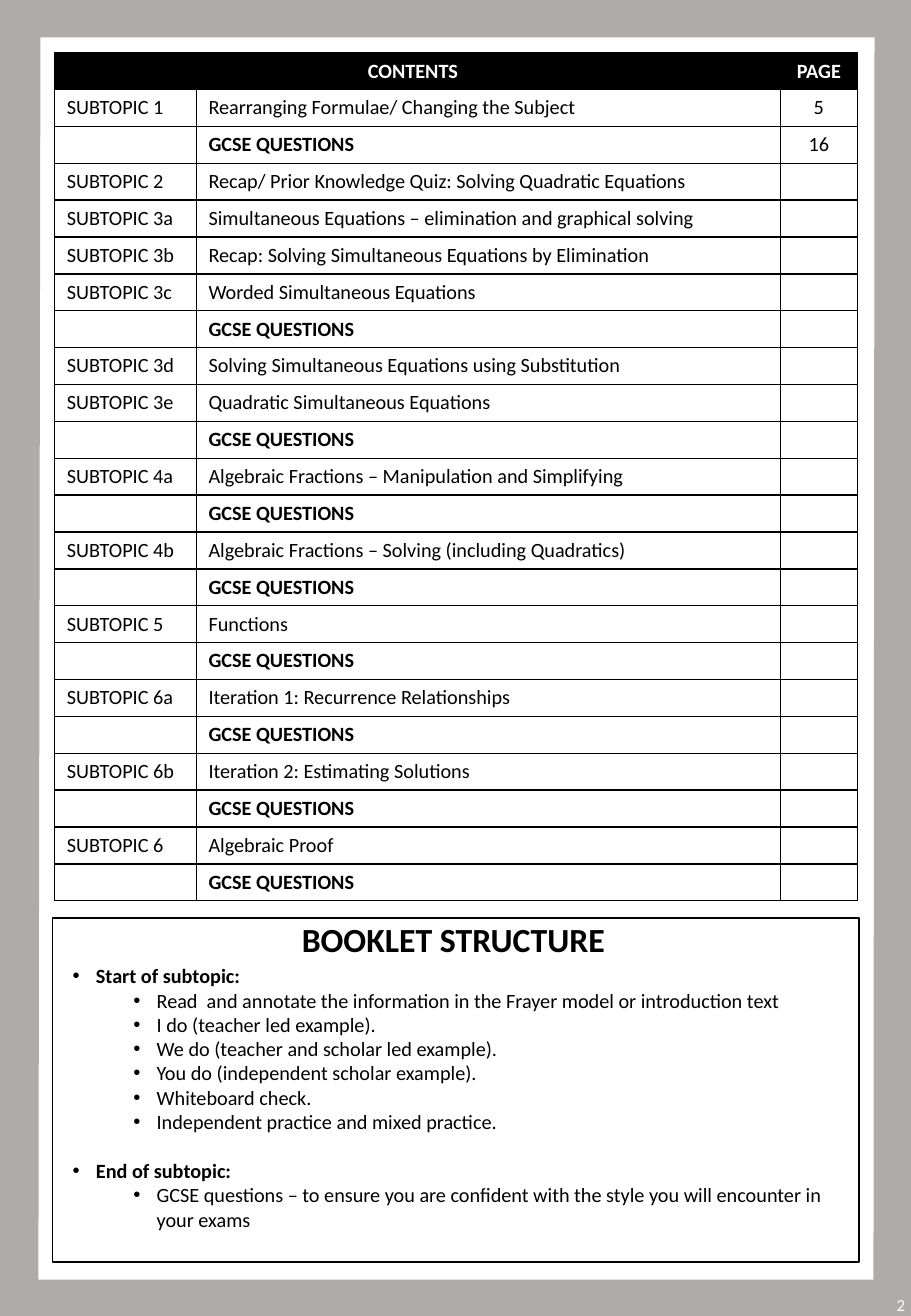
from lxml import etree
from pptx import Presentation
from pptx.dml.color import RGBColor
from pptx.enum.shapes import MSO_SHAPE
from pptx.enum.text import MSO_ANCHOR, MSO_AUTO_SIZE, PP_ALIGN
from pptx.oxml.ns import qn
from pptx.util import Pt

PX = 7620
BLACK = RGBColor(0x00, 0x00, 0x00)
WHITE = RGBColor(0xFF, 0xFF, 0xFF)
FRAME_GREY = RGBColor(0xAF, 0xAB, 0xAB)
CENTER, LEFT = PP_ALIGN.CENTER, PP_ALIGN.LEFT
TOP, MIDDLE = MSO_ANCHOR.TOP, MSO_ANCHOR.MIDDLE
NO_AUTOFIT = MSO_AUTO_SIZE.NONE
RECTANGLE = MSO_SHAPE.RECTANGLE
TITLE_ONLY = 5

PAGE_W, PAGE_H = 900, 1300
COLUMN_WIDTHS = (140, 577, 76)
ROW_HEIGHT = 36
GCSE = ("", "GCSE QUESTIONS", "")
CONTENTS = [
    ("SUBTOPIC 1", "Rearranging Formulae/ Changing the Subject", "5"),
    ("", "GCSE QUESTIONS", "16"),
    ("SUBTOPIC 2", "Recap/ Prior Knowledge Quiz: Solving Quadratic Equations", ""),
    ("SUBTOPIC 3a", "Simultaneous Equations – elimination and graphical solving", ""),
    ("SUBTOPIC 3b", "Recap: Solving Simultaneous Equations by Elimination", ""),
    ("SUBTOPIC 3c", "Worded Simultaneous Equations", ""),
    GCSE,
    ("SUBTOPIC 3d", "Solving Simultaneous Equations using Substitution", ""),
    ("SUBTOPIC 3e", "Quadratic Simultaneous Equations", ""),
    GCSE,
    ("SUBTOPIC 4a", "Algebraic Fractions – Manipulation and Simplifying", ""),
    GCSE,
    ("SUBTOPIC 4b", "Algebraic Fractions – Solving (including Quadratics)", ""),
    GCSE,
    ("SUBTOPIC 5", "Functions", ""),
    GCSE,
    ("SUBTOPIC 6a", "Iteration 1: Recurrence Relationships", ""),
    GCSE,
    ("SUBTOPIC 6b", "Iteration 2: Estimating Solutions", ""),
    GCSE,
    ("SUBTOPIC 6", "Algebraic Proof", ""),
    GCSE,
]
STRUCTURE = [
    ("Start of subtopic:", [
        "Read  and annotate the information in the Frayer model or introduction text",
        "I do (teacher led example).",
        "We do (teacher and scholar led example).",
        "You do (independent scholar example).",
        "Whiteboard check.",
        "Independent practice and mixed practice.",
    ]),
    ("End of subtopic:", [
        "GCSE questions – to ensure you are confident with the style"
        " you will encounter in your exams",
    ]),
]


def px(*lengths):
    return [length * PX for length in lengths]


def add_run(paragraph, text, size=12, bold=False, color=BLACK):
    run = paragraph.add_run()
    run.text = text
    run.font.name = "Calibri"
    run.font.size = Pt(size)
    run.font.bold = bold
    run.font.color.rgb = color


def add_cell_borders(cell):
    properties = cell._tc.get_or_add_tcPr()
    for position, side in enumerate(("lnL", "lnR", "lnT", "lnB")):
        border = etree.Element(qn(f"a:{side}"), w=str(Pt(1)))
        fill = etree.SubElement(border, qn("a:solidFill"))
        etree.SubElement(fill, qn("a:srgbClr"), val=str(BLACK))
        properties.insert(position, border)


def fill_cell(cell, text, align, bold, header):
    cell.vertical_anchor = MIDDLE
    cell.fill.solid()
    cell.fill.fore_color.rgb = BLACK if header else WHITE
    add_cell_borders(cell)
    paragraph = cell.text_frame.paragraphs[0]
    paragraph.alignment = align
    if text:
        add_run(paragraph, text, bold=bold, color=WHITE if header else BLACK)
    else:
        etree.SubElement(paragraph._p, qn("a:endParaRPr"), sz="1200")


def add_contents(slide, left, top):
    rows = [("CONTENTS", "", "PAGE")] + CONTENTS
    width, height = sum(COLUMN_WIDTHS), ROW_HEIGHT * len(rows)
    table = slide.shapes.add_table(
        len(rows), len(COLUMN_WIDTHS), *px(left, top, width, height)).table
    for column, column_width in zip(table.columns, COLUMN_WIDTHS):
        column.width = column_width * PX
    for r, texts in enumerate(rows):
        table.rows[r].height = ROW_HEIGHT * PX
        header = r == 0
        for c, text in enumerate(texts):
            align = CENTER if header or c == 2 else LEFT
            bold = header or text == "GCSE QUESTIONS"
            fill_cell(table.cell(r, c), text, align, bold, header)
    heading = table.cell(0, 0)
    heading.merge(table.cell(0, 1))
    heading.margin_right = 21 * PX


def add_page_frame(slide, width, height):
    outer = [(width, 0), (width, height), (0, height)]
    inner = [(38, height - 36), (width - 37, height - 36), (width - 36, 37)]
    builder = slide.shapes.build_freeform(0, 0, scale=PX)
    builder.add_line_segments(outer, close=True)
    builder.move_to(40, 37)
    builder.add_line_segments(inner, close=True)
    frame = builder.convert_to_shape()
    frame.shadow.inherit = False
    frame.fill.solid()
    frame.fill.fore_color.rgb = FRAME_GREY
    frame.line.fill.background()


def add_page_number(slide, left, top, width, height):
    number = slide.shapes.add_textbox(*px(left, top, width, height)).text_frame
    number.margin_left = number.margin_right = 0
    number.margin_top = number.margin_bottom = 0
    number.vertical_anchor = MIDDLE
    number.word_wrap = True
    number.paragraphs[0].alignment = CENTER
    add_run(number.paragraphs[0], "2", size=10, color=WHITE)


def add_bullet(paragraph, text, level, bold):
    paragraph.level = level
    properties = paragraph._p.get_or_add_pPr()
    properties.set("marL", str((23 + 60 * level) * PX))
    properties.set("indent", str(-23 * PX))
    etree.SubElement(properties, qn("a:buFont"), typeface="Arial")
    etree.SubElement(properties, qn("a:buChar"), char="•")
    add_run(paragraph, text, bold=bold)


def add_booklet_structure(slide, left, top, width, height):
    border = slide.shapes.add_shape(RECTANGLE, *px(left, top, width, height))
    border.shadow.inherit = False
    border.fill.background()
    border.line.color.rgb = BLACK
    border.line.width = Pt(1)

    title = slide.shapes.title
    title.left, title.top, title.width, title.height = px(
        left + 174, top - 5, 444, 53)
    title_frame = title.text_frame
    title_frame.auto_size = NO_AUTOFIT
    title_frame.vertical_anchor = TOP
    title_frame.word_wrap = True
    title_line = title_frame.paragraphs[0]
    title_line.alignment = CENTER
    title_line.line_spacing = 1.0
    add_run(title_line, "BOOKLET STRUCTURE", size=20, bold=True)

    stages = slide.shapes.add_textbox(
        *px(left + 8, top + 39, width - 10, height - 38)).text_frame
    stages.word_wrap = True
    for index, (stage, steps) in enumerate(STRUCTURE):
        paragraph = stages.add_paragraph() if index else stages.paragraphs[0]
        if index:
            paragraph.space_before = Pt(14.6)
        add_bullet(paragraph, stage, 0, True)
        for step in steps:
            add_bullet(stages.add_paragraph(), step, 1, False)


def main():
    booklet = Presentation()
    booklet.slide_width, booklet.slide_height = px(PAGE_W, PAGE_H)
    slide = booklet.slides.add_slide(booklet.slide_layouts[TITLE_ONLY])
    add_contents(slide, 54, 52)
    add_page_frame(slide, PAGE_W, PAGE_H)
    add_page_number(slide, 880, 1279, 20, 22 - 2)
    add_booklet_structure(slide, 52, 907, 797, 340)
    booklet.save("out.pptx")


if __name__ == "__main__":
    main()
